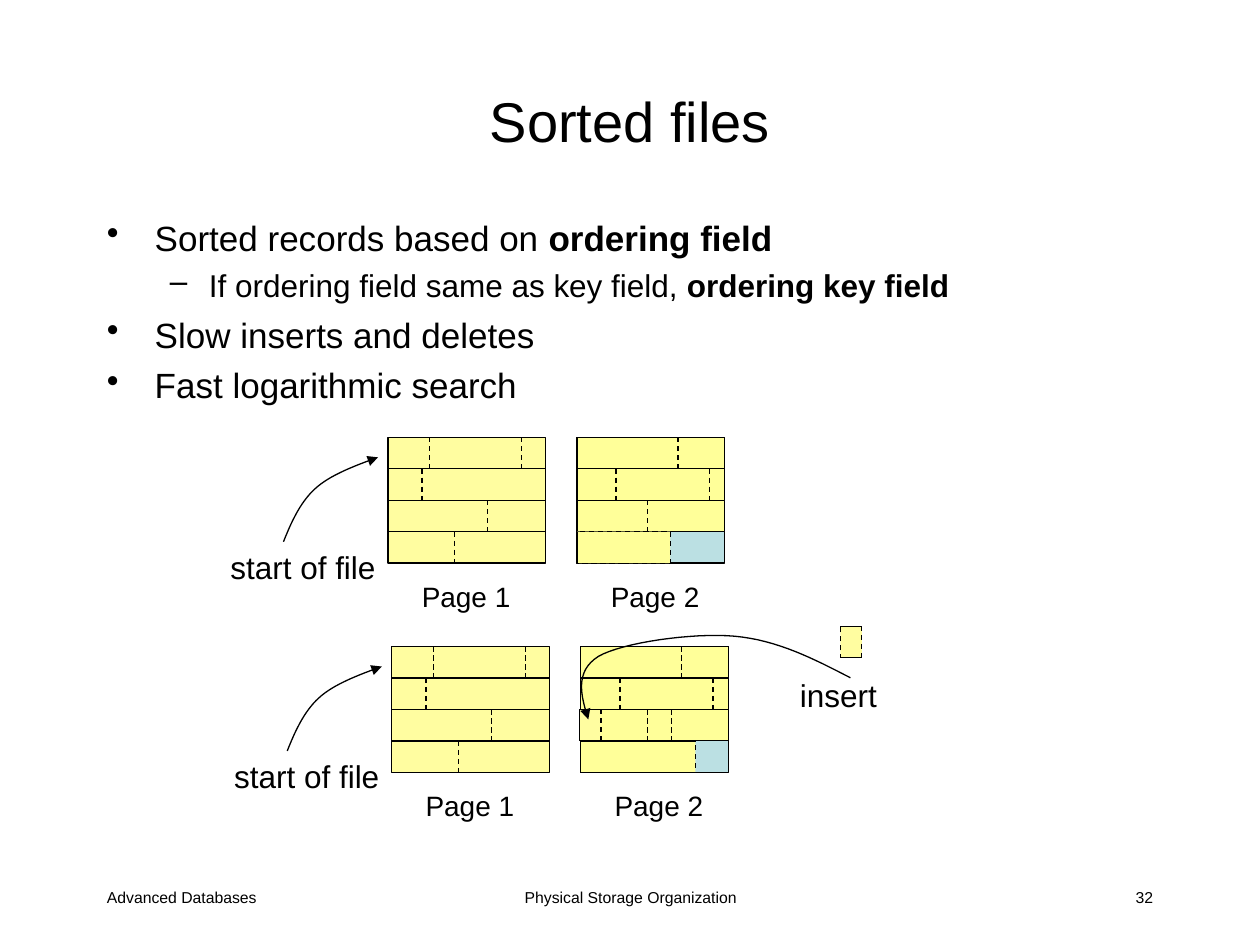
import dataclasses

import pptx
import pptx.dml.color
import pptx.enum.dml
import pptx.enum.shapes
import pptx.enum.text
import pptx.oxml
import pptx.oxml.ns
import pptx.util
from pptx.util import Inches

ALIGN = pptx.enum.text.PP_ALIGN
DASH = pptx.enum.dml.MSO_LINE.DASH


@dataclasses.dataclass(frozen=True)
class Theme:
    """Colours, font and sizes of the slide."""
    font: str = "Arial"
    ink: str = "000000"
    record: str = "FFFF99"
    page: str = "FFFDA0"
    free: str = "BBE0E3"
    title: int = 32
    bullet: int = 20
    label: int = 18
    caption: int = 16
    footer: int = 9
    stroke: float = 0.75


THEME = Theme()
ROW = 0.25
ROWS = 4


def color(value):
    """Turn a hex string into a colour."""
    return pptx.dml.color.RGBColor.from_string(value)


def style_line(shape, dashed=False):
    """Give a shape or connector the thin black line."""
    shape.line.color.rgb = color(THEME.ink)
    shape.line.width = pptx.util.Pt(THEME.stroke)
    if dashed:
        shape.line.dash_style = DASH


def add_run(paragraph, text, size, bold=False):
    """Append one run of text."""
    run = paragraph.add_run()
    run.text = text
    run.font.name = THEME.font
    run.font.size = pptx.util.Pt(size)
    run.font.bold = bold
    run.font.color.rgb = color(THEME.ink)


def add_text_frame(slide, box, wrap=True):
    """Add an empty text box and return its frame."""
    frame = slide.shapes.add_textbox(*map(Inches, box)).text_frame
    frame.word_wrap = wrap
    if not wrap:
        frame.auto_size = pptx.enum.text.MSO_AUTO_SIZE.SHAPE_TO_FIT_TEXT
    return frame


def add_text(slide, box, text, size, align=ALIGN.LEFT, wrap=True):
    """Add a text box of one line and return its frame."""
    frame = add_text_frame(slide, box, wrap)
    frame.paragraphs[0].alignment = align
    add_run(frame.paragraphs[0], text, size)
    return frame


def add_rectangle(slide, box, fill, dashed=False):
    """Add a filled rectangle with a thin line."""
    kind = pptx.enum.shapes.MSO_SHAPE.RECTANGLE
    shape = slide.shapes.add_shape(kind, *map(Inches, box))
    shape.shadow.inherit = False
    shape.fill.solid()
    shape.fill.fore_color.rgb = color(fill)
    style_line(shape, dashed)
    return shape


def add_line(slide, start, end, dashed=False):
    """Add a straight line between two points."""
    kind = pptx.enum.shapes.MSO_CONNECTOR.STRAIGHT
    connector = slide.shapes.add_connector(kind, *map(Inches, (*start, *end)))
    style_line(connector, dashed)
    properties = connector._element.spPr
    properties.append(pptx.oxml.parse_xml(
        f'<a:effectLst {pptx.oxml.ns.nsdecls("a")}/>'))
    return connector


def add_curved_arrow(slide, start, segments, steps=16):
    """Draw Bezier segments as an open curve with an arrowhead at its end."""
    points, origin = [], start
    for first, second, end in segments:
        for step in range(1, steps + 1):
            t = step / steps
            weights = ((1 - t) ** 3, 3 * t * (1 - t) ** 2, 3 * t * t * (1 - t), t ** 3)
            corners = (origin, first, second, end)
            points.append(tuple(Inches(sum(w * c[axis] for w, c in zip(weights, corners)))
                                for axis in (0, 1)))
        origin = end
    builder = slide.shapes.build_freeform(*map(Inches, start))
    builder.add_line_segments(points, close=False)
    curve = builder.convert_to_shape()
    curve.shadow.inherit = False
    curve.fill.background()
    style_line(curve)
    curve._element.spPr.find(pptx.oxml.ns.qn("a:ln")).append(pptx.oxml.parse_xml(
        f'<a:tailEnd {pptx.oxml.ns.nsdecls("a")} type="triangle"/>'))


def add_cuts(slide, left, top, cuts):
    """Draw the dashed record boundaries of each row."""
    for row, offsets in enumerate(cuts):
        for offset in offsets:
            x, y = left + offset, top + row * ROW
            add_line(slide, (x, y), (x, y + ROW), dashed=True)


def add_dashed_record(slide, box, fill, solid_sides):
    """Draw a dashed record with some of its sides solid."""
    left, top, width, height = box
    right, bottom = left + width, top + height
    sides = {"top": ((left, top), (right, top)),
             "bottom": ((left, bottom), (right, bottom)),
             "left": ((left, top), (left, bottom))}
    add_rectangle(slide, box, fill, dashed=True)
    for side in solid_sides:
        add_line(slide, *sides[side])


def add_full_page(slide, box, cuts):
    """Draw a page whose rows are all filled with records."""
    left, top, width, height = box
    page = add_rectangle(slide, box, THEME.page)
    for row in range(1, ROWS):
        y = top + row * ROW
        divider = add_line(slide, (left, y), (left + width, y))
        if row * 2 == ROWS:
            divider.begin_connect(page, 1)
            divider.end_connect(page, 3)
    add_cuts(slide, left, top, cuts)


def add_open_page(slide, box, cuts, used, solid_sides):
    """Draw a page whose last row still has free space."""
    left, top, width, height = box
    add_rectangle(slide, box, THEME.free)
    for row in range(ROWS - 1):
        add_rectangle(slide, (left, top + row * ROW, width, ROW), THEME.record)
    last = (left, top + (ROWS - 1) * ROW, used, ROW)
    add_dashed_record(slide, last, THEME.record, solid_sides)
    add_cuts(slide, left, top, cuts)


def add_file(slide, left, top, third_row, used, solid_sides):
    """Draw one file: its start arrow, two pages and their captions."""
    first, second = left + 1.35, left + 2.85
    height = ROWS * ROW
    add_open_page(slide, (second, top, 1.17, height),
                  [(0.8,), (0.31, 1.05), third_row], used, solid_sides)
    add_full_page(slide, (first, top, 1.25, height),
                  [(0.33, 1.06), (0.27,), (0.79,), (0.53,)])
    for number, page_left in enumerate((first, second), 1):
        add_text(slide, (page_left + 0.17, top + 1.08, 0.9, 0.37),
                 f"Page {number}", THEME.caption, wrap=False)
    add_text(slide, (left, top + 0.83, 1.35, 0.4), "start of file", THEME.label, wrap=False)
    curve = [(0.52, 0.83), (0.58, 0.68), (0.65, 0.52), (0.77, 0.41),
             (0.89, 0.3), (1.08, 0.23), (1.27, 0.16)]
    start, *rest = [(left + x, top + y) for x, y in curve]
    add_curved_arrow(slide, start, [rest[:3], rest[3:]])


def add_insert(slide, left, top):
    """Draw the new record and the arrow to its place in the page."""
    width = 0.17
    add_dashed_record(slide, (4.6, 5.63, width, ROW), THEME.page, ("top", "bottom", "left"))
    add_dashed_record(slide, (left + 0.42, top, width, ROW), THEME.page, ("top", "bottom"))
    add_curved_arrow(slide, (6.75, 5.38), [
        ((6.46, 5.23), (6.17, 5.08), (5.83, 5.05)),
        ((5.5, 5.02), (4.94, 5.1), (4.75, 5.21)),
        ((4.56, 5.33), (4.61, 5.52), (4.67, 5.71))])
    add_text(slide, (left, top + 0.35, 0.81, 0.4), "insert", THEME.label, wrap=False)


def add_bullets(slide, box):
    """Write the bulleted list."""
    frame = add_text_frame(slide, box)
    items = [(0, "Sorted records based on ", "ordering field"),
             (1, "If ordering field same as key field, ", "ordering key field"),
             (0, "Slow inserts and deletes", ""),
             (0, "Fast logarithmic search", "")]
    levels = [("•", 0.38, 0.38, THEME.bullet, 5), ("–", 0.81, 0.31, THEME.label, 4.5)]
    for index, (level, plain, strong) in enumerate(items):
        mark, margin, hanging, size, space = levels[level]
        paragraph = frame.add_paragraph() if index else frame.paragraphs[0]
        paragraph.level = level
        paragraph.space_before = pptx.util.Pt(space)
        properties = paragraph._p.get_or_add_pPr()
        properties.set("marL", str(Inches(margin)))
        properties.set("indent", str(-Inches(hanging)))
        properties.append(pptx.oxml.parse_xml(
            f'<a:buChar {pptx.oxml.ns.nsdecls("a")} char="{mark}"/>'))
        add_run(paragraph, plain, size)
        if strong:
            add_run(paragraph, strong, size, bold=True)


def add_footer(slide, top, height):
    """Write the three footer texts."""
    for left, width, text, align in (
            (0.75, 2.08, "Advanced Databases", ALIGN.LEFT),
            (3.42, 3.17, "Physical Storage Organization", ALIGN.CENTER),
            (7.17, 2.08, "32", ALIGN.RIGHT)):
        add_text(slide, (left, top, width, height), text, THEME.footer, align)


def main():
    """Build the slide and save it."""
    presentation = pptx.Presentation()
    presentation.slide_width, presentation.slide_height = Inches(10), Inches(7.5)
    slide = presentation.slides.add_slide(presentation.slide_layouts[6])
    add_footer(slide, 7, 0.33)
    title = add_text(slide, (0.75, 0.33, 8.5, 1.25), "Sorted files", THEME.title, ALIGN.CENTER)
    title.vertical_anchor = pptx.enum.text.MSO_ANCHOR.MIDDLE
    add_bullets(slide, (0.75, 1.67, 8.5, 5.17))
    add_file(slide, 1.73, 3.47, (0.56,), 0.74, ("left",))
    add_file(slide, 1.76, 5.13, (0.53, 0.72), 0.91, ("top", "bottom", "left"))
    add_insert(slide, 6.25, 4.97)


    presentation.save("out.pptx")


if __name__ == "__main__":
    main()
